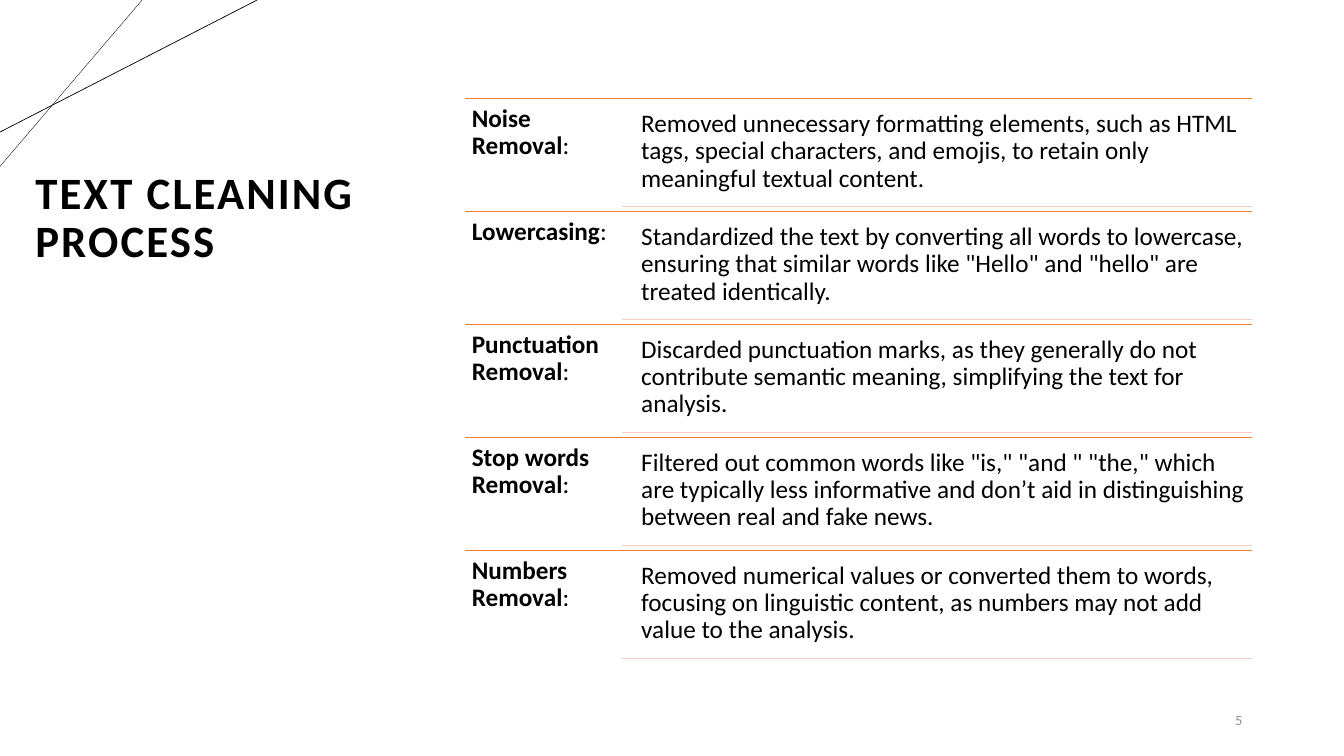
import pptx
import pptx.dml.color
import pptx.enum.shapes
import pptx.enum.text
import pptx.oxml.ns
import pptx.util
from pptx.util import Inches

COLORS = {"black": "000000", "gray": "8C8C8C", "orange": "ED7D31", "pink": "F6CCBE"}
STEPS = [
    ("Noise Removal", "Removed unnecessary formatting elements, such as HTML tags, special "
     "characters, and emojis, to retain only meaningful textual content."),
    ("Lowercasing", "Standardized the text by converting all words to lowercase, ensuring "
     'that similar words like "Hello" and "hello" are treated identically.'),
    ("Punctuation Removal", "Discarded punctuation marks, as they generally do not contribute "
     "semantic meaning, simplifying the text for analysis."),
    ("Stop words Removal", 'Filtered out common words like "is," "and " "the," which are '
     "typically less informative and don’t aid in distinguishing between real and fake news."),
    ("Numbers Removal", "Removed numerical values or converted them to words, focusing on "
     "linguistic content, as numbers may not add value to the analysis."),
]
LEFT, MIDDLE, RIGHT = 4.61, 6.17, 12.42
TOP, ROW_HEIGHT = 0.98, 1.12


def add_text(paragraph, text, size=18, font="Calibri", color="black", bold=False, tracking=0):
    run = paragraph.add_run()
    run.text = text
    run.font.size = pptx.util.Pt(size)
    run.font.name = font
    run.font.bold = bold
    run.font.color.rgb = pptx.dml.color.RGBColor.from_string(COLORS[color])
    if tracking:
        run.font._element.set("spc", str(int(tracking * 100)))


class SlideBuilder:
    """Hold the style and the current slide, and draw each kind of element."""

    def __init__(self, presentation):
        self.inset = Inches(0.07)
        self.line_spacing = 0.9
        self.slide = presentation.slides.add_slide(presentation.slide_layouts[5])

    def title(self, text, left, top, width, height):
        shape = self.slide.shapes.title
        shape.left, shape.top = Inches(left), Inches(top)
        shape.width, shape.height = Inches(width), Inches(height)
        frame = shape.text_frame
        frame.word_wrap = True
        frame.auto_size = pptx.enum.text.MSO_AUTO_SIZE.NONE
        frame.vertical_anchor = pptx.enum.text.MSO_ANCHOR.MIDDLE
        frame.margin_bottom = Inches(0.6)
        paragraph = frame.paragraphs[0]
        paragraph.alignment = pptx.enum.text.PP_ALIGN.LEFT
        paragraph.line_spacing = self.line_spacing
        add_text(paragraph, text, size=32, bold=True, tracking=1.5)

    def text_box(self, left, top, width, height):
        shape = self.slide.shapes.add_textbox(
            Inches(left), Inches(top), Inches(width), Inches(height))
        shape.text_frame.word_wrap = True
        return shape.text_frame

    def body(self, left, top, width, height):
        frame = self.text_box(left, top, width, height)
        frame.margin_left = frame.margin_right = self.inset
        frame.margin_top = frame.margin_bottom = self.inset
        frame.paragraphs[0].line_spacing = self.line_spacing
        return frame.paragraphs[0]

    def page_number(self, text, left, top, width, height):
        frame = self.text_box(left, top, width, height)
        frame.vertical_anchor = pptx.enum.text.MSO_ANCHOR.MIDDLE
        paragraph = frame.paragraphs[0]
        paragraph.alignment = pptx.enum.text.PP_ALIGN.RIGHT
        add_text(paragraph, text, size=9, font="Lato", color="gray")

    def line(self, start_x, start_y, end_x, end_y, color="black", width=1):
        connector = self.slide.shapes.add_connector(
            pptx.enum.shapes.MSO_CONNECTOR.STRAIGHT,
            Inches(start_x), Inches(start_y), Inches(end_x), Inches(end_y))
        connector.line.color.rgb = pptx.dml.color.RGBColor.from_string(COLORS[color])
        connector.line.width = pptx.util.Pt(width)
        properties = connector._element.spPr
        properties.append(properties.makeelement(pptx.oxml.ns.qn("a:effectLst"), {}))

    def step(self, name, description, top):
        self.line(LEFT, top, RIGHT, top, "orange")
        label = self.body(LEFT, top, MIDDLE - LEFT, ROW_HEIGHT)
        add_text(label, name, bold=True)
        add_text(label, ":")
        add_text(self.body(MIDDLE + 0.12, top + 0.05, RIGHT - MIDDLE - 0.12, 1.02), description)
        self.line(MIDDLE, top + 1.07, RIGHT, top + 1.07, "pink")


def main():
    presentation = pptx.Presentation()
    presentation.slide_width = Inches(13.33)
    presentation.slide_height = Inches(7.5)
    builder = SlideBuilder(presentation)
    builder.line(1.41, 0, 0, 1.65, width=0.25)
    builder.line(2.55, 0, 0, 1.31, width=0.5)
    builder.title("TEXT CLEANING PROCESS", 0.25, 1.4, 4.02, 2.1)
    for index, (name, description) in enumerate(STEPS):
        builder.step(name, description, TOP + index * ROW_HEIGHT)
    builder.page_number("5", 11.34, 6.95, 1.08, 0.4)
    presentation.save("out.pptx")


if __name__ == "__main__":
    main()
